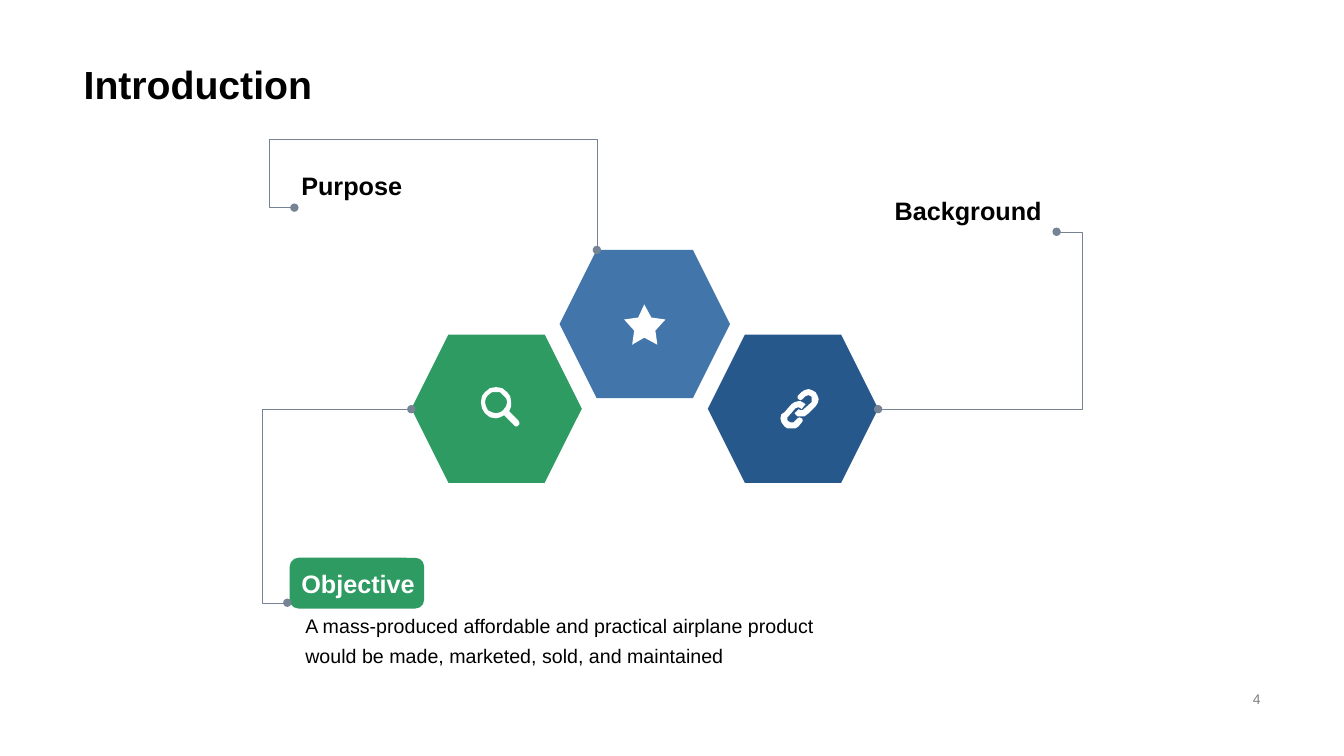
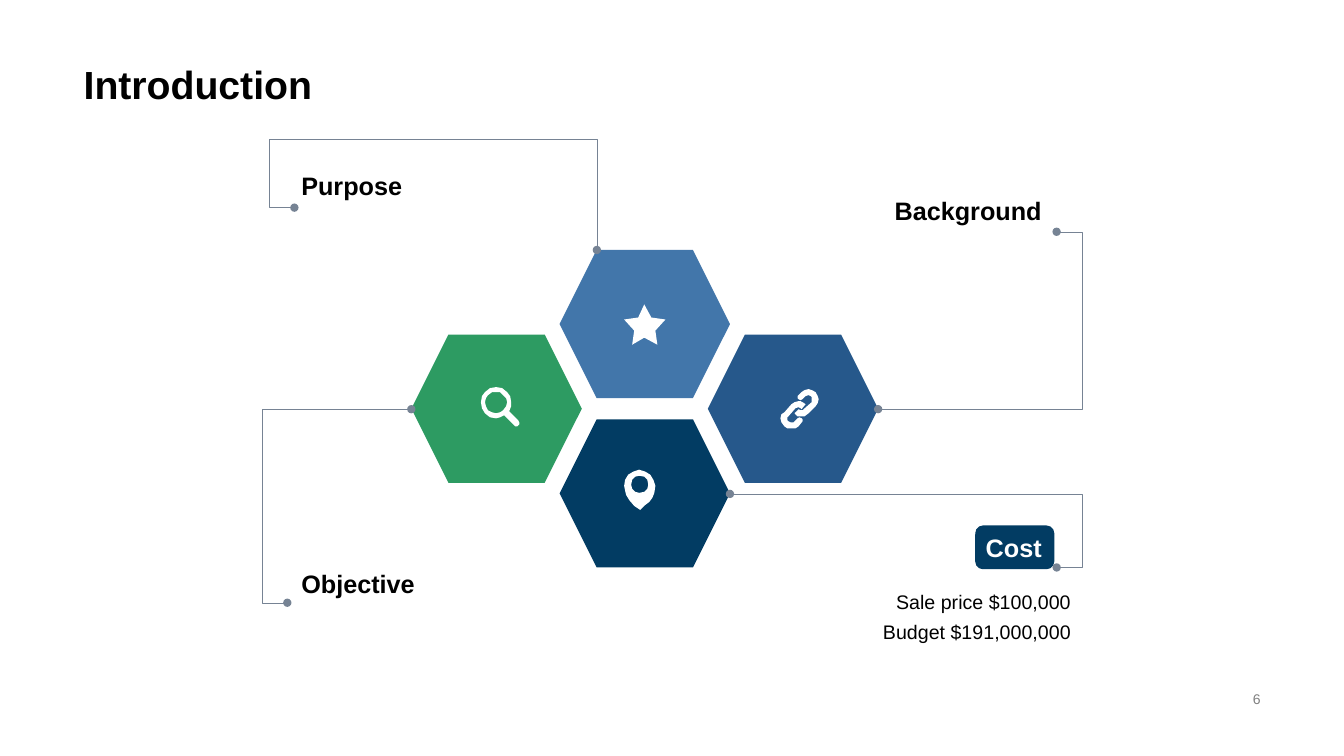
from dataclasses import dataclass

from lxml import etree
from pptx import Presentation
from pptx.dml.color import RGBColor
from pptx.enum.shapes import MSO_CONNECTOR, MSO_SHAPE
from pptx.enum.text import MSO_ANCHOR, PP_ALIGN
from pptx.oxml.ns import qn
from pptx.util import Inches, Pt

HEXAGON, ROUNDED = MSO_SHAPE.HEXAGON, MSO_SHAPE.ROUNDED_RECTANGLE
ELBOW = MSO_CONNECTOR.ELBOW
LEFT, RIGHT = PP_ALIGN.LEFT, PP_ALIGN.RIGHT
TOP, MIDDLE, BOTTOM = MSO_ANCHOR.TOP, MSO_ANCHOR.MIDDLE, MSO_ANCHOR.BOTTOM


@dataclass(frozen=True)
class Theme:
    font: str = "Arial"
    text: RGBColor = RGBColor(0x00, 0x00, 0x00)
    white: RGBColor = RGBColor(0xFF, 0xFF, 0xFF)
    muted: RGBColor = RGBColor(0x80, 0x80, 0x80)
    callout: RGBColor = RGBColor(0x76, 0x83, 0x94)
    blue: RGBColor = RGBColor(0x42, 0x76, 0xAA)
    green: RGBColor = RGBColor(0x2D, 0x9B, 0x62)
    navy: RGBColor = RGBColor(0x26, 0x58, 0x8B)
    midnight: RGBColor = RGBColor(0x02, 0x3C, 0x63)
    title_size: int = 28
    label_size: int = 18
    detail_size: int = 14
    number_size: int = 10


THEME = Theme()

# Icons are lists of closed outlines; an inner outline cuts a hole.
STAR = [[(6.39, 3.02), (6.46, 3.15), (6.6, 3.17), (6.5, 3.28), (6.52, 3.42),
         (6.39, 3.35), (6.27, 3.42), (6.29, 3.28), (6.19, 3.17), (6.33, 3.15)]]
MAGNIFIER = [
    [(4.92, 3.89), (4.88, 3.89), (4.84, 3.92), (4.82, 3.95), (4.81, 3.99), (4.82, 4.03),
     (4.84, 4.07), (4.88, 4.09), (4.92, 4.1), (4.96, 4.09), (4.99, 4.07), (5.02, 4.03),
     (5.03, 3.99), (5.02, 3.95), (4.99, 3.92), (4.96, 3.89)],
    [(4.92, 3.84), (4.98, 3.85), (5.03, 3.89), (5.06, 3.93), (5.07, 3.99), (5.07, 4.03),
     (5.05, 4.08), (5.14, 4.17), (5.15, 4.19), (5.15, 4.21), (5.13, 4.23), (5.11, 4.23),
     (5.1, 4.22), (5, 4.12), (4.96, 4.14), (4.92, 4.15), (4.86, 4.14), (4.81, 4.1),
     (4.78, 4.05), (4.77, 3.99), (4.78, 3.93), (4.81, 3.89), (4.86, 3.85)],
]
CHAIN = [
    [(7.92, 3.98), (7.94, 3.98), (7.96, 3.99), (7.99, 4.01), (7.95, 4.06), (7.94, 4.05),
     (7.92, 4.04), (7.89, 4.05), (7.82, 4.13), (7.81, 4.14), (7.81, 4.17), (7.82, 4.18),
     (7.84, 4.19), (7.87, 4.19), (7.88, 4.18), (7.91, 4.15), (7.93, 4.14), (7.95, 4.15),
     (7.96, 4.16), (7.96, 4.18), (7.92, 4.23), (7.89, 4.25), (7.85, 4.25), (7.81, 4.25),
     (7.78, 4.23), (7.75, 4.19), (7.74, 4.15), (7.75, 4.11), (7.78, 4.09), (7.85, 4.01),
     (7.88, 3.99)],
    [(8.02, 3.86), (8.05, 3.87), (8.09, 3.89), (8.11, 3.93), (8.12, 3.96), (8.11, 4),
     (8.09, 4.03), (8.02, 4.1), (7.98, 4.13), (7.95, 4.13), (7.91, 4.13), (7.88, 4.1),
     (7.92, 4.06), (7.94, 4.07), (7.96, 4.07), (7.97, 4.06), (8.05, 3.99), (8.05, 3.94),
     (8.04, 3.93), (8.02, 3.92), (7.99, 3.93), (7.96, 3.96), (7.94, 3.97), (7.92, 3.96),
     (7.91, 3.95), (7.91, 3.93), (7.92, 3.92), (7.95, 3.89), (7.98, 3.87)],
]
PIN = [
    [(6.34, 4.72), (6.3, 4.73), (6.27, 4.76), (6.26, 4.81), (6.27, 4.85), (6.3, 4.88),
     (6.34, 4.89), (6.39, 4.88), (6.42, 4.85), (6.43, 4.81), (6.42, 4.76), (6.39, 4.73)],
    [(6.34, 4.66), (6.4, 4.68), (6.45, 4.71), (6.48, 4.76), (6.5, 4.82), (6.49, 4.89),
     (6.47, 4.94), (6.44, 4.98), (6.4, 5.01), (6.35, 5.06), (6.32, 5.04), (6.29, 5.02),
     (6.24, 4.96), (6.21, 4.91), (6.2, 4.87), (6.19, 4.82), (6.2, 4.76), (6.23, 4.71),
     (6.28, 4.68)],
]


@dataclass(frozen=True)
class Topic:
    """One hexagon with its icon, callout line (start, end, bend) and label."""
    name: str
    color: RGBColor
    column: int
    row: int
    icon: list
    start: tuple
    end: tuple
    bend: tuple
    label_at: tuple
    align: PP_ALIGN


PURPOSE = Topic("Purpose", THEME.blue, 1, 0, STAR,
                (2.92, 2.06), (5.92, 2.48), (2.67, 1.38), (2.89, 1.62), LEFT)
OBJECTIVE = Topic("Objective", THEME.green, 0, 1, MAGNIFIER,
                  (2.85, 5.98), (4.08, 4.06), (2.6,), (2.89, 5.57), LEFT)
BACKGROUND = Topic("Background", THEME.navy, 2, 1, CHAIN,
                   (8.71, 4.06), (10.48, 2.3), (10.73,), (8.12, 1.87), RIGHT)
COST = Topic("Cost", THEME.midnight, 1, 2, PIN,
             (7.24, 4.9), (10.48, 5.63), (10.73,), (8.12, 5.21), RIGHT)

# Number, topics, highlighted topic, badge box, detail box, detail lines
PAGES = [
    ("4", [OBJECTIVE, BACKGROUND, PURPOSE], OBJECTIVE,
     (2.88, 5.54, 1.32, 0.49), (2.93, 5.97, 5.7, 1.39),
     ["A mass-produced affordable and practical airplane product "
      "would be made, marketed, sold, and maintained"]),
    ("6", [OBJECTIVE, BACKGROUND, COST, PURPOSE], COST,
     (9.68, 5.22, 0.77, 0.42), (8.63, 5.73, 2.09, 0.78),
     ["Sale price $100,000", "Budget $191,000,000"]),
]


def write(box, lines, size, color, bold=False, align=LEFT, anchor=TOP, spacing=1.0):
    frame = box.text_frame
    frame.word_wrap = True
    frame.vertical_anchor = anchor
    for index, line in enumerate(lines):
        para = frame.paragraphs[0] if index == 0 else frame.add_paragraph()
        para.alignment = align
        para.line_spacing = spacing
        span = para.add_run()
        span.text = line
        span.font.name = THEME.font
        span.font.size = Pt(size)
        span.font.bold = bold
        span.font.color.rgb = color


def paint(shape, color):
    """Give a flat fill without outline or shadow."""
    shape.shadow.inherit = False
    shape.fill.solid()
    shape.fill.fore_color.rgb = color
    shape.line.fill.background()


deck = Presentation()
deck.slide_width, deck.slide_height = Inches(13.33), Inches(7.5)
layout = deck.slide_layouts.get_by_name("Title Only")
layout_title = layout.placeholders[0]
layout_title.left, layout_title.top = Inches(0.73), Inches(0)
layout_title.width, layout_title.height = Inches(11.87), Inches(1.12)

for number, topics, active, badge_box, detail_box, details in PAGES:
    page = deck.slides.add_slide(layout)
    shapes = page.shapes
    write(shapes.title, ["Introduction"], THEME.title_size, THEME.text,
          bold=True, anchor=BOTTOM, spacing=0.9)

    number_box = shapes.add_textbox(Inches(9.42), Inches(6.82), Inches(3.18), Inches(0.23))
    write(number_box, [number], THEME.number_size, THEME.muted, align=RIGHT, anchor=MIDDLE)

    badge = shapes.add_shape(ROUNDED, *map(Inches, badge_box))
    paint(badge, active.color)
    badge.line.color.rgb = active.color
    badge.line.width = Pt(1)

    for topic in topics:
        hexagon = shapes.add_shape(HEXAGON, Inches(4.08 + 1.47 * topic.column),
                                   Inches(2.48 + 0.84 * topic.row), Inches(1.69), Inches(1.47))
        hexagon.adjustments[0] = 0.25
        paint(hexagon, topic.color)

        outlines = [[(Inches(x), Inches(y)) for x, y in outline] for outline in topic.icon]
        builder = shapes.build_freeform(*outlines[0][0])
        for outline in outlines:
            builder.move_to(*outline[0])
            builder.add_line_segments(outline[1:], close=True)
        paint(builder.convert_to_shape(), THEME.white)

    for topic in topics:
        callout = shapes.add_connector(ELBOW, *map(Inches, topic.start + topic.end))
        callout.line.color.rgb = THEME.callout
        callout.line.width = Pt(0.25)
        properties = callout._element.spPr
        geometry = properties.find(qn("a:prstGeom"))
        geometry.set("prst", f"bentConnector{len(topic.bend) + 2}")
        guides = geometry.find(qn("a:avLst"))
        for index, (bend, start, end) in enumerate(zip(topic.bend, topic.start, topic.end), 1):
            ratio = round((bend - start) / (end - start) * 100000)
            etree.SubElement(guides, qn("a:gd"), name=f"adj{index}", fmla=f"val {ratio}")
        for tip in ("a:headEnd", "a:tailEnd"):
            etree.SubElement(properties.find(qn("a:ln")), qn(tip), type="oval")
        etree.SubElement(properties, qn("a:effectLst"))

        label = shapes.add_textbox(*map(Inches, topic.label_at + (2.31, 0.42)))
        write(label, [topic.name], THEME.label_size,
              THEME.white if topic is active else THEME.text,
              bold=True, align=topic.align, anchor=BOTTOM)

    detail = shapes.add_textbox(*map(Inches, detail_box))
    write(detail, details, THEME.detail_size, THEME.text, align=active.align, spacing=1.3)

deck.save("out.pptx")
